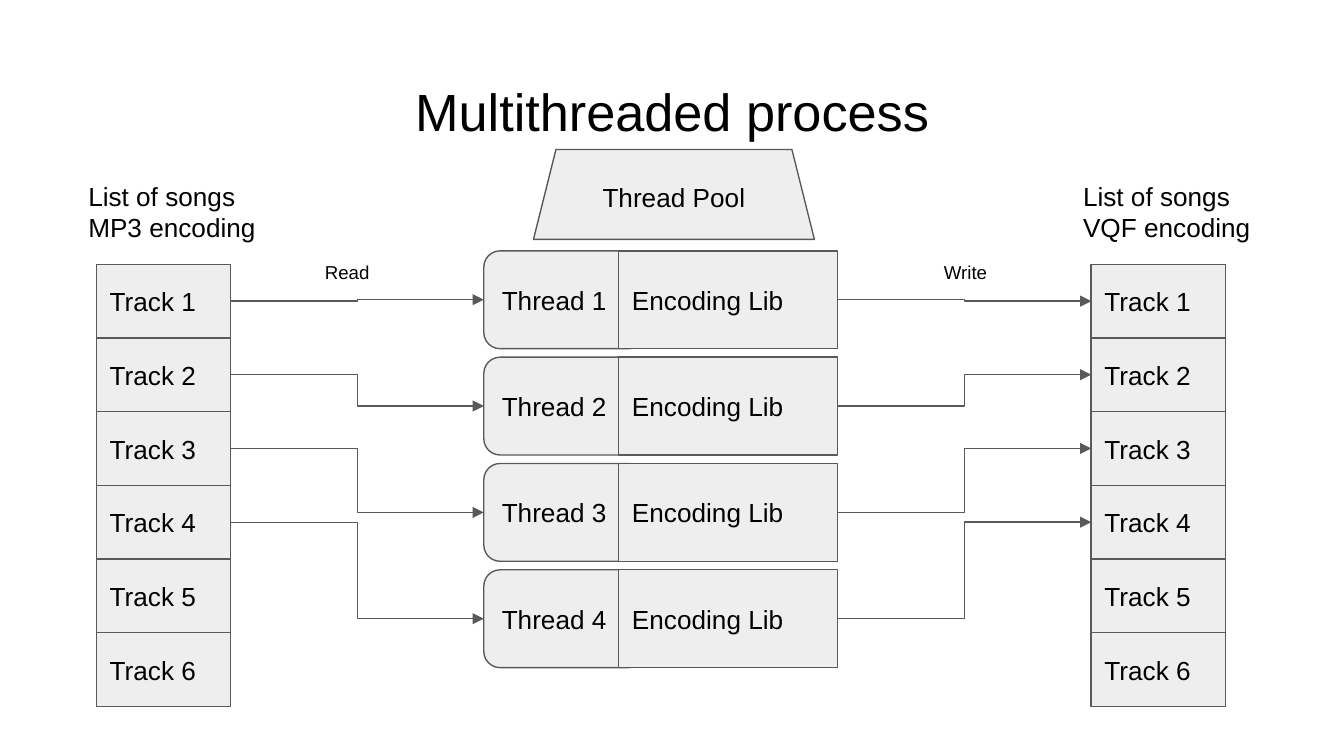
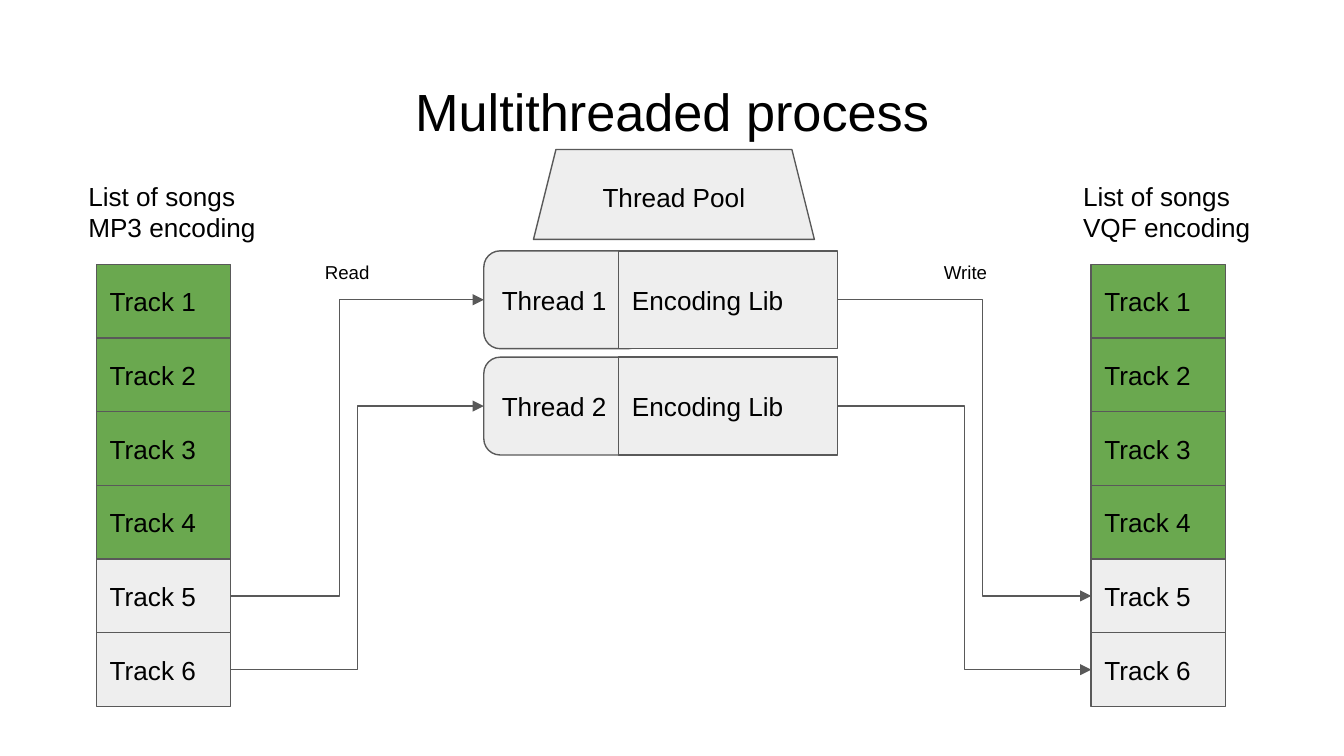
from lxml.etree import SubElement
from pptx import Presentation
from pptx.dml.color import RGBColor
from pptx.enum.shapes import MSO_CONNECTOR, MSO_SHAPE
from pptx.enum.text import MSO_ANCHOR, MSO_AUTO_SIZE, PP_ALIGN
from pptx.oxml.ns import qn
from pptx.util import Pt

BLACK = RGBColor(0x00, 0x00, 0x00)
GREY = RGBColor(0xEE, 0xEE, 0xEE)
GREEN = RGBColor(0x6A, 0xA8, 0x4F)
OUTLINE = RGBColor(0x59, 0x59, 0x59)
FONT = "Arial"
INSET = 7.2
TRACK_COUNT = 6
TRACK_TOP, TRACK_WIDTH, TRACK_HEIGHT = 141.6, 72, 39.48
SOURCE_LEFT, TARGET_LEFT = 51.7, 584.6
THREAD_LEFT, THREAD_TOP, THREAD_PITCH = 259.2, 134.4, 56.95
THREAD_HEIGHT = 52.4
LEFT_SIDE, RIGHT_SIDE = 1, 3


def write_text(shape, lines, size=14, align=PP_ALIGN.LEFT, anchor=MSO_ANCHOR.TOP):
    """Fill a shape with one paragraph per line in the common text style."""
    frame = shape.text_frame
    frame.text = "\n".join(lines)
    frame.word_wrap = True
    frame.auto_size = MSO_AUTO_SIZE.NONE
    frame.vertical_anchor = anchor
    frame.margin_left = frame.margin_right = Pt(INSET)
    frame.margin_top = frame.margin_bottom = Pt(INSET)
    for paragraph in frame.paragraphs:
        paragraph.alignment = align
        paragraph.font.name = FONT
        paragraph.font.size = Pt(size)
        paragraph.font.color.rgb = BLACK


def add_label(shapes, lines, left, top, width, height, size=14):
    """Add a plain text box."""
    box = shapes.add_textbox(Pt(left), Pt(top), Pt(width), Pt(height))
    write_text(box, lines, size)


def add_block(shapes, kind, text, left, top, width, height, fill=GREY, align=PP_ALIGN.LEFT):
    """Add an outlined, filled shape with vertically centred text."""
    block = shapes.add_shape(kind, Pt(left), Pt(top), Pt(width), Pt(height))
    block.shadow.inherit = False
    block.fill.solid()
    block.fill.fore_color.rgb = fill
    block.line.color.rgb = OUTLINE
    block.line.width = Pt(0.75)
    write_text(block, [text], align=align, anchor=MSO_ANCHOR.MIDDLE)
    return block


def add_track_list(page, encoding, left, done):
    """Add a grouped column of tracks, the finished ones green, under its heading."""
    shapes = page.shapes.add_group_shape().shapes
    tracks = [
        add_block(shapes, MSO_SHAPE.RECTANGLE, f"Track {index + 1}", left,
                  TRACK_TOP + index * TRACK_HEIGHT, TRACK_WIDTH, TRACK_HEIGHT,
                  GREEN if index < done else GREY)
        for index in range(TRACK_COUNT)
    ]
    add_label(shapes, ["List of songs", f"{encoding} encoding"], left - 11.5, 89.2, 108.7, 52.6)
    return tracks


def add_thread(page, index):
    """Add a grouped thread with its encoding library and return both shapes."""
    shapes = page.shapes.add_group_shape().shapes
    top = THREAD_TOP + index * THREAD_PITCH
    thread = add_block(shapes, MSO_SHAPE.ROUNDED_RECTANGLE, f"Thread {index + 1}",
                       THREAD_LEFT, top, 86.4, THREAD_HEIGHT)
    library = add_block(shapes, MSO_SHAPE.RECTANGLE, "Encoding Lib",
                        THREAD_LEFT + 72.3, top, 117.3, THREAD_HEIGHT)
    return thread, library


def add_arrow(page, start, end, bend):
    """Join the right side of one shape to the left side of another by an elbow arrow."""
    arrow = page.shapes.add_connector(MSO_CONNECTOR.ELBOW, 0, 0, 0, 0)
    arrow.begin_connect(start, RIGHT_SIDE)
    arrow.end_connect(end, LEFT_SIDE)
    arrow.line.color.rgb = OUTLINE
    arrow.line.width = Pt(0.75)
    properties = arrow.element.spPr
    guides = properties.find(qn("a:prstGeom")).find(qn("a:avLst"))
    SubElement(guides, qn("a:gd"), name="adj1", fmla=f"val {round(bend * 100000)}")
    SubElement(properties.find(qn("a:ln")), qn("a:tailEnd"), type="triangle")
    SubElement(properties, qn("a:effectLst"))


def add_title(page, text):
    """Place and style the title placeholder."""
    title = page.shapes.title
    title.left, title.top, title.width, title.height = Pt(24.5), Pt(35), Pt(671), Pt(45.1)
    write_text(title, [text], 28, PP_ALIGN.CENTER)


def add_process_page(deck, done, bends):
    """Add a page where each thread takes the next unfinished track."""
    page = deck.slides.add_slide(deck.slide_layouts[5])
    add_title(page, "Multithreaded process")
    sources = add_track_list(page, "MP3", SOURCE_LEFT, done)
    targets = add_track_list(page, "VQF", TARGET_LEFT, done)
    add_block(page.shapes, MSO_SHAPE.TRAPEZOID, "Thread Pool", 285.8, 80.1, 150.5, 48.2,
              align=PP_ALIGN.CENTER)
    for index, bend in enumerate(bends):
        thread, library = add_thread(page, index)
        add_arrow(page, sources[done + index], thread, bend)
        add_arrow(page, library, targets[done + index], 1 - bend)
    add_label(page.shapes, ["Read"], 167, 132.5, 54, 27.4, 10)
    add_label(page.shapes, ["Write"], 498.6, 132.5, 42.5, 23, 10)


def main():
    """Build and save the deck."""
    deck = Presentation()
    deck.slide_width, deck.slide_height = Pt(720), Pt(405)
    add_process_page(deck, done=0, bends=[0.5] * 4)
    add_process_page(deck, done=4, bends=[0.43, 0.5])
    deck.save("out.pptx")


main()
